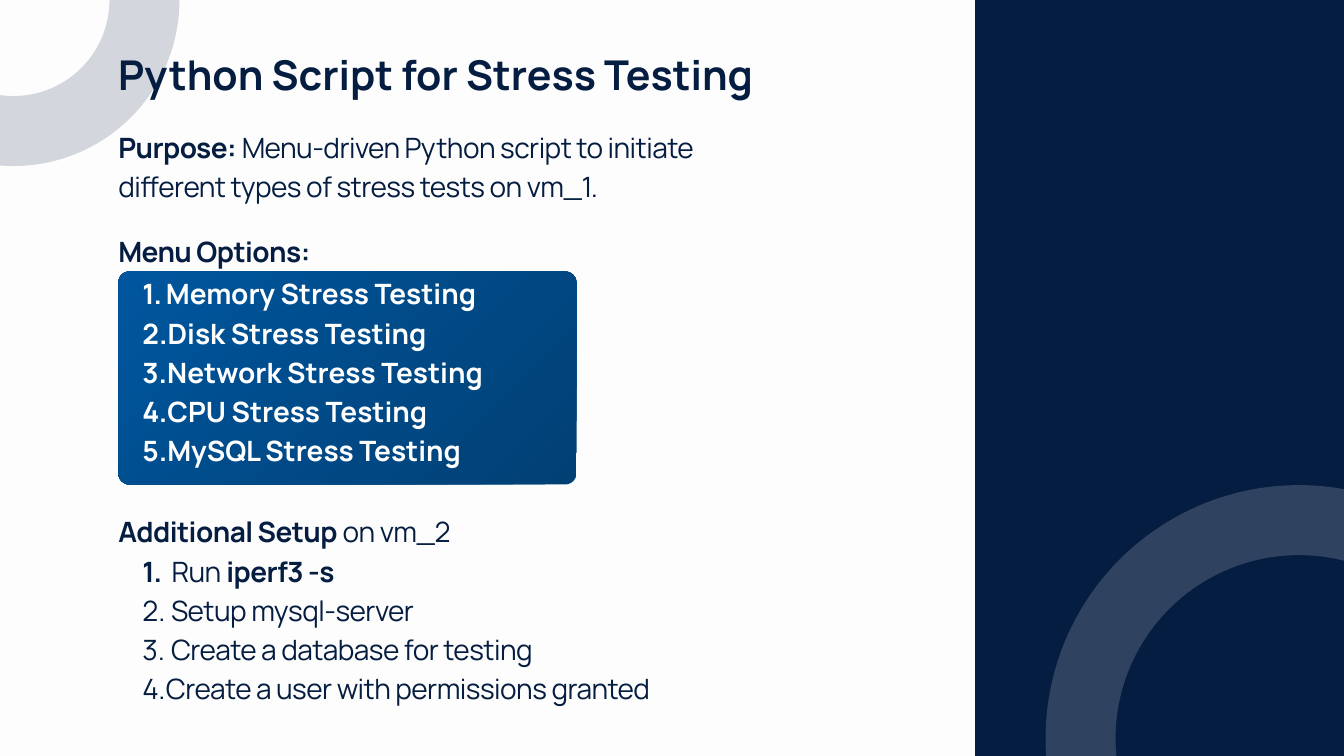
from lxml.etree import SubElement
from pptx import Presentation
from pptx.dml.color import RGBColor
from pptx.enum.shapes import MSO_SHAPE
from pptx.enum.text import MSO_ANCHOR
from pptx.oxml.ns import qn
from pptx.util import Inches, Pt

NAVY, WHITE = "051D40", "FFFFFF"


def color(code):
    """Turn a hex string into a colour."""
    return RGBColor.from_string(code)


def add_form(slide, kind, box):
    """Add a preset shape without shadow."""
    form = slide.shapes.add_shape(kind, *map(Inches, box))
    form.shadow.inherit = False
    return form


def add_ring(slide, box, code):
    """Draw a thick, faint circle outline."""
    ring = add_form(slide, MSO_SHAPE.OVAL, box)
    ring.fill.background()
    ring.line.width = Pt(75)
    ring.line.color.rgb = color(code)
    tint = ring.line.fill._xPr.find(".//" + qn("a:srgbClr"))
    SubElement(tint, qn("a:alpha"), val="16000")


def add_band(slide, box):
    """Fill the side band."""
    band = add_form(slide, MSO_SHAPE.RECTANGLE, box)
    band.fill.solid()
    band.fill.fore_color.rgb = color(NAVY)
    band.line.fill.background()


def add_card(slide, box):
    """Draw the rounded card with a gradient from its top left corner."""
    card = add_form(slide, MSO_SHAPE.ROUNDED_RECTANGLE, box)
    card.adjustments[0] = 0.17 / box[3]
    card.line.fill.background()
    card.fill.gradient()
    for stop, code in zip(card.fill.gradient_stops, ("00569E", "014074")):
        stop.color.rgb = color(code)
    grad = card._element.spPr.find(qn("a:gradFill"))
    grad.remove(grad.find(qn("a:lin")))
    way = SubElement(grad, qn("a:path"), path="circle")
    SubElement(way, qn("a:fillToRect"), r="100000", b="100000")


def add_text(slide, box, paras, size=30, lead=42, code=NAVY, space=-60, first=1):
    """Write paragraphs of (text, bold) runs, numbered from index first on."""
    frame = slide.shapes.add_textbox(*map(Inches, box)).text_frame
    frame.word_wrap = True
    frame.margin_left = frame.margin_right = 0
    frame.margin_top = frame.margin_bottom = 0
    for i, runs in enumerate(paras):
        para = frame.paragraphs[0] if i == 0 else frame.add_paragraph()
        para.line_spacing = Pt(lead)
        props = para._p.get_or_add_pPr()
        if i >= first:
            para.level = 1
            props.set("marL", str(Inches(0.71)))
            props.set("indent", str(Inches(-0.35)))
            SubElement(props, qn("a:buFont"), typeface="Manrope")
            SubElement(props, qn("a:buAutoNum"), type="arabicPeriod")
        font = para.font
        font.name, font.size = "Manrope", Pt(size)
        font.color.rgb = color(code)
        props.find(qn("a:defRPr")).set("spc", str(space))
        same = len({bold for _, bold in runs}) == 1
        if same:
            font.bold = runs[0][1]
        for text, bold in runs:
            run = para.add_run()
            run.text = text
            if not same:
                run.font.bold = bold
    return frame


def add_menu(slide, box):
    """Place the menu heading above its card of options."""
    left, top, width, height = box
    add_card(slide, (left, top + 0.64, width, height - 0.64))
    names = ("Memory", "Disk", "Network", "CPU", "MySQL")
    items = [[(f"{name} Stress Testing", True)] for name in names]
    frame = add_text(slide, (left, top + 0.38, width, height - 0.38), items,
                     code=WHITE, space=0, first=0)
    frame.vertical_anchor = MSO_ANCHOR.MIDDLE
    add_text(slide, (left, top, 9.85, 0.59), [[("Menu Options:", True)]])


def add_intro(slide, box):
    """Write the title and the purpose."""
    left, top, width, height = box
    add_text(slide, (left, top, width, 0.87),
             [[("Python Script for Stress Testing", True)]],
             size=44, lead=61.6, space=0)
    add_text(slide, (left, top + 1.24, 9.85, height - 1.24), [[
        ("Purpose: ", True),
        ("Menu-driven Python script to initiate different types of "
         "stress tests on vm_1.", False)]])


def add_setup(slide, box):
    """List the setup steps of the second machine."""
    add_text(slide, box, [
        [("Additional Setup ", True), ("on vm_2", False)],
        [(" ", True), ("Run ", False), ("iperf3 -s", True)],
        [(" Setup mysql-server", False)],
        [(" Create a database for testing", False)],
        [("Create a user with permissions granted", False)]])


def main():
    """Build and save the slide."""
    deck = Presentation()
    deck.slide_width, deck.slide_height = Inches(20), Inches(11.25)
    slide = deck.slides.add_slide(deck.slide_layouts[6])
    slide.background.fill.solid()
    slide.background.fill.fore_color.rgb = color("FDFDFD")
    add_band(slide, (14.51, 0, 5.49, 11.25))
    add_ring(slide, (-1.75, -1.95, 3.9, 3.9), NAVY)
    add_ring(slide, (16.08, 7.74, 6.5, 6.5), WHITE)
    add_intro(slide, (1.76, 0.62, 11.4, 2.42))
    add_menu(slide, (1.76, 3.4, 6.82, 3.81))
    add_setup(slide, (1.76, 7.58, 9.85, 2.93))
    deck.save("out.pptx")


if __name__ == "__main__":
    main()
